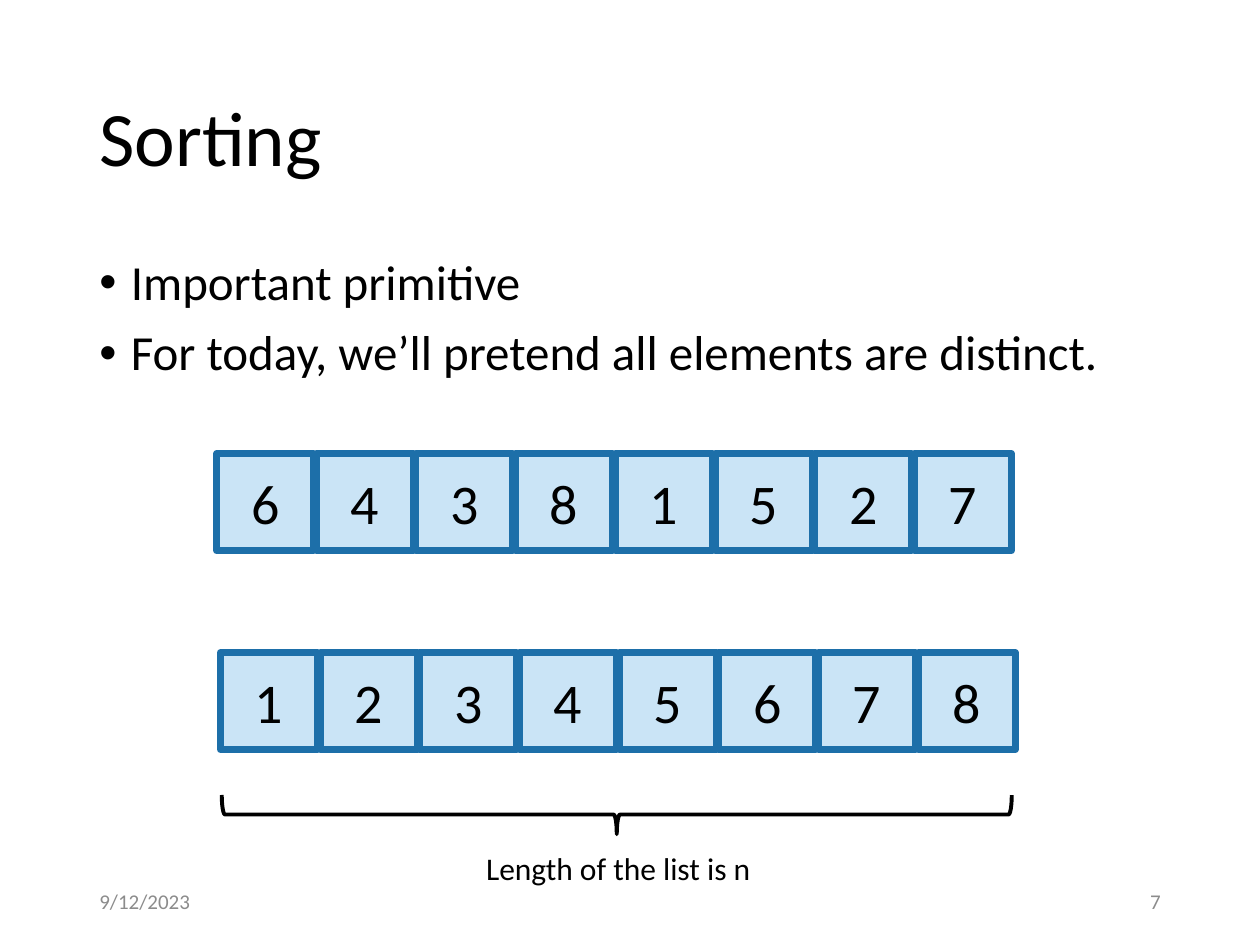
from lxml import etree
from pptx import Presentation
from pptx.dml.color import RGBColor
from pptx.enum.shapes import MSO_SHAPE
from pptx.enum.text import MSO_ANCHOR, PP_ALIGN
from pptx.oxml.ns import qn
from pptx.util import Inches, Pt

RECTANGLE = MSO_SHAPE.RECTANGLE
RIGHT_BRACE = MSO_SHAPE.RIGHT_BRACE
TOP, MIDDLE = MSO_ANCHOR.TOP, MSO_ANCHOR.MIDDLE
LEFT, CENTER, RIGHT = PP_ALIGN.LEFT, PP_ALIGN.CENTER, PP_ALIGN.RIGHT

FONT = "Calibri"
COLORS = {"text": "000000", "muted": "8C8C8C", "cell": "CAE4F6", "border": "1D6FA9"}
SLIDE_WIDTH, SLIDE_HEIGHT = Inches(10), Inches(7.5)
COLUMN, ROW = SLIDE_WIDTH / 100, SLIDE_HEIGHT / 75

MARGIN, CONTENT_WIDTH = 6.9, 86.2
CELL_SIZE, CELL_PITCH = 7.7, 7.91
UNSORTED = [6, 4, 3, 8, 1, 5, 2, 7]


def place(left, top, width, height):
    return [round(size) for size in (left * COLUMN, top * ROW, width * COLUMN, height * ROW)]


def color(name):
    return RGBColor.from_string(COLORS[name])


def style_paragraph(para, size, align, color_name):
    para.alignment = align
    for span in para.runs:
        span.font.name = FONT
        span.font.size = Pt(size)
        span.font.color.rgb = color(color_name)


def add_text(page, area, text, size, align=LEFT, anchor=TOP, color_name="text", wrap=True):
    box = page.shapes.add_textbox(*place(*area))
    frame = box.text_frame
    frame.word_wrap = wrap
    frame.vertical_anchor = anchor
    frame.text = text
    for para in frame.paragraphs:
        style_paragraph(para, size, align, color_name)
    return frame


def add_bullets(page, area, lines, size):
    frame = add_text(page, area, "\n".join(lines), size)
    for index, para in enumerate(frame.paragraphs):
        properties = para._p.get_or_add_pPr()
        properties.set("marL", str(Inches(0.25)))
        properties.set("indent", str(-Inches(0.25)))
        etree.SubElement(properties, qn("a:buFont"), typeface="Arial")
        etree.SubElement(properties, qn("a:buChar"), char="•")
        para.line_spacing = 0.9
        if index:
            para.space_before = Pt(10)


def add_cell(page, left, top, value):
    cell = page.shapes.add_shape(RECTANGLE, *place(left, top, CELL_SIZE, CELL_SIZE))
    cell.shadow.inherit = False
    cell.fill.solid()
    cell.fill.fore_color.rgb = color("cell")
    cell.line.color.rgb = color("border")
    cell.line.width = Pt(4)
    frame = cell.text_frame
    frame.vertical_anchor = MIDDLE
    frame.text = str(value)
    style_paragraph(frame.paragraphs[0], 32, CENTER, "text")


def add_list(page, left, top, values):
    for index, value in enumerate(values):
        add_cell(page, left + index * CELL_PITCH, top, value)


def add_brace_below(page, area):
    brace = page.shapes.add_shape(RIGHT_BRACE, *place(*area))
    brace.rotation = 90
    brace.shadow.inherit = False
    brace.fill.background()
    brace.line.color.rgb = color("text")
    brace.line.width = Pt(2.25)


def main():
    deck = Presentation()
    deck.slide_width, deck.slide_height = SLIDE_WIDTH, SLIDE_HEIGHT
    page = deck.slides.add_slide(deck.slide_layouts[6])

    title = add_text(page, (MARGIN, 4, CONTENT_WIDTH, 14.5), "Sorting", 44, anchor=MIDDLE)
    title.paragraphs[0].line_spacing = 0.9
    add_bullets(
        page,
        (MARGIN, 20, CONTENT_WIDTH, 47.6),
        ["Important primitive", "For today, we’ll pretend all elements are distinct."],
        28,
    )

    add_list(page, 17.2, 36, UNSORTED)
    add_list(page, 17.5, 51.8, sorted(UNSORTED))
    add_brace_below(page, (47.4, 33.3, 3.1, 62.7))
    add_text(page, (37.6, 66.9, 24.7, 4), "Length of the list is n", 18, wrap=False)

    footer = {"size": 12, "anchor": MIDDLE, "color_name": "muted"}
    add_text(page, (MARGIN, 69.5, 22.5, 4), "9/12/2023", **footer)
    add_text(page, (70.6, 69.5, 22.5, 4), "7", align=RIGHT, **footer)

    deck.save("out.pptx")


if __name__ == "__main__":
    main()
